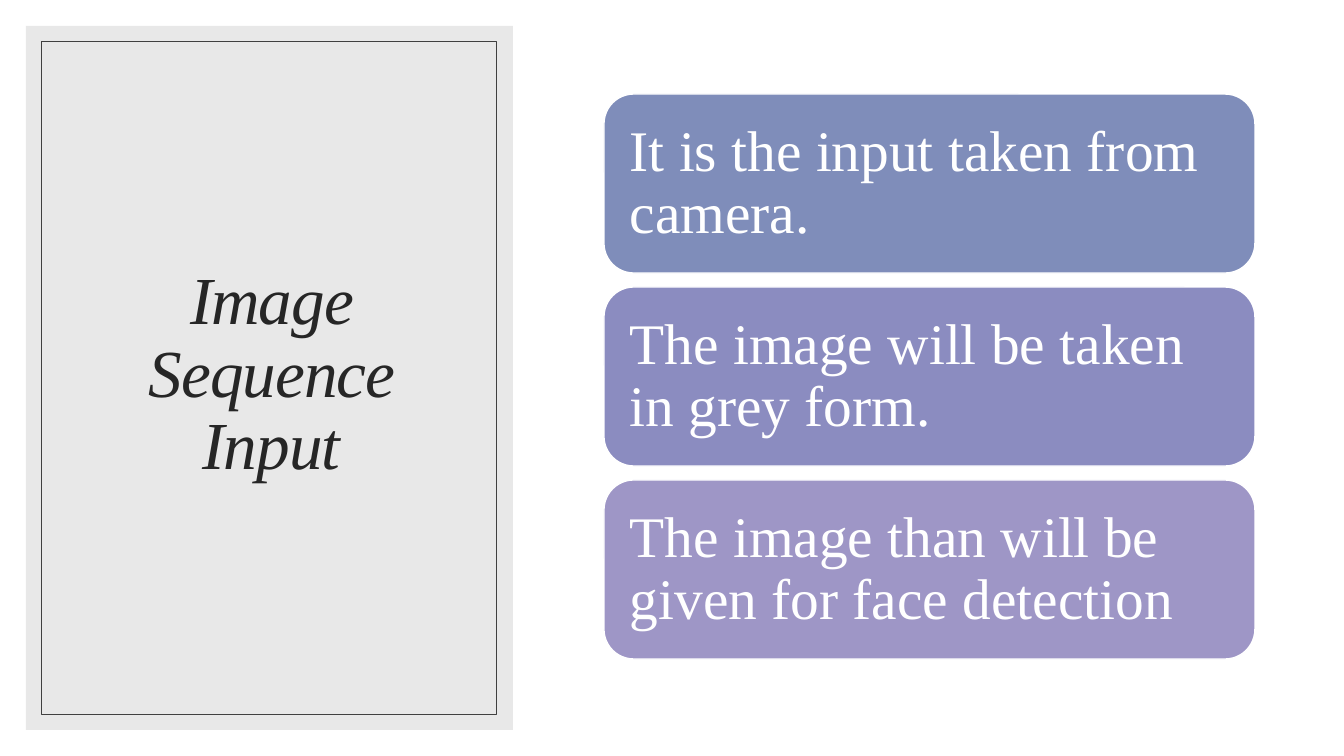
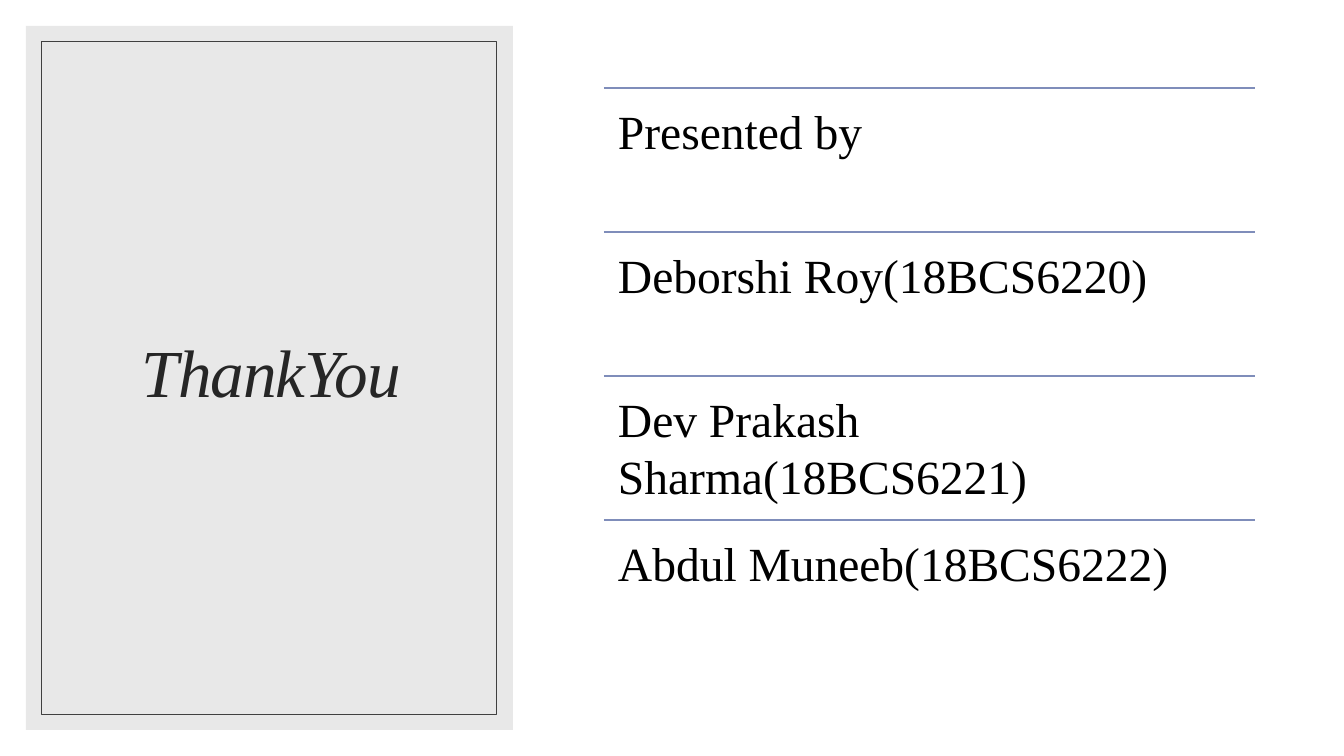
from dataclasses import dataclass
from lxml.etree import SubElement
from pptx import Presentation
from pptx.dml.color import RGBColor
from pptx.enum.shapes import MSO_CONNECTOR, MSO_SHAPE
from pptx.enum.text import MSO_ANCHOR, MSO_AUTO_SIZE, PP_ALIGN
from pptx.oxml.ns import qn
from pptx.util import Emu, Pt


@dataclass
class Theme:
    font: str = "Times New Roman"
    panel: str = "D9D9D9"
    panel_opacity: int = 60000
    frame: str = "404040"
    title: str = "262626"
    white: str = "FFFFFF"
    body: str = "000000"
    rule: str = "7F8DBA"
    cards: tuple = ("7F8DBA", "8B8CC0", "9E96C6")
    title_size: int = 48
    card_size: int = 41
    row_size: int = 34


theme = Theme()
SCALE = 12192000 / 1344


def px(*lengths):
    return [Emu(round(length * SCALE)) for length in lengths]


def write_text(shape, text, size, color, anchor=MSO_ANCHOR.MIDDLE, align=PP_ALIGN.LEFT,
               margin=10, line_spacing=0.9, italic=False, tracking=0):
    frame = shape.text_frame
    frame.word_wrap = True
    frame.auto_size = MSO_AUTO_SIZE.NONE
    frame.vertical_anchor = anchor
    (frame.margin_left, frame.margin_top,
     frame.margin_right, frame.margin_bottom) = px(*[margin] * 4)
    paragraph = frame.paragraphs[0]
    paragraph.alignment = align
    paragraph.line_spacing = line_spacing
    run = paragraph.add_run()
    run.text = text
    run.font.name = theme.font
    run.font.size = Pt(size)
    run.font.italic = italic
    run.font.color.rgb = RGBColor.from_string(color)
    if tracking:
        run.font._element.set("spc", str(tracking))


presentation = Presentation()
presentation.slide_width, presentation.slide_height = px(1344, 756)

slides = []
for title_text in ("Image Sequence Input", "ThankYou"):
    slide = presentation.slides.add_slide(presentation.slide_layouts[5])
    slides.append(slide)

    panel = slide.shapes.add_shape(MSO_SHAPE.RECTANGLE, *px(26, 26, 487, 704))
    panel.shadow.inherit = False
    panel.fill.solid()
    panel.fill.fore_color.rgb = RGBColor.from_string(theme.panel)
    panel_color = panel.element.spPr.find(qn("a:solidFill"))[0]
    SubElement(panel_color, qn("a:alpha")).set("val", str(theme.panel_opacity))
    panel.line.fill.background()

    title = slide.shapes.title
    title.left, title.top, title.width, title.height = px(64, 61, 415, 629)
    write_text(title, title_text, theme.title_size, theme.title,
               align=PP_ALIGN.CENTER, italic=True, tracking=-70)
    panel.element.addnext(title.element)

    border = slide.shapes.add_shape(MSO_SHAPE.RECTANGLE, *px(41, 41, 455, 673))
    border.shadow.inherit = False
    border.fill.background()
    border.line.color.rgb = RGBColor.from_string(theme.frame)
    border.line.width = Pt(0.5)

input_slide, closing_slide = slides
COLUMN_LEFT, COLUMN_WIDTH = 604, 651

CARD_TOP, CARD_HEIGHT, CARD_PITCH = 94, 179, 193
statements = (
    "It is the input taken from camera.",
    "The image will be taken in grey form.",
    "The image than will be given for face detection",
)
for index, (statement, color) in enumerate(zip(statements, theme.cards)):
    card = input_slide.shapes.add_shape(
        MSO_SHAPE.ROUNDED_RECTANGLE,
        *px(COLUMN_LEFT, CARD_TOP + index * CARD_PITCH, COLUMN_WIDTH, CARD_HEIGHT))
    card.shadow.inherit = False
    card.fill.solid()
    card.fill.fore_color.rgb = RGBColor.from_string(color)
    card.line.color.rgb = RGBColor.from_string(theme.white)
    card.line.width = Pt(1)
    write_text(card, statement, theme.card_size, theme.white, margin=17)

ROW_TOP, ROW_HEIGHT = 88, 144
presenters = (
    "Presented by",
    "Deborshi Roy(18BCS6220)",
    "Dev Prakash Sharma(18BCS6221)",
    "Abdul Muneeb(18BCS6222)",
)
for index, presenter in enumerate(presenters):
    top = ROW_TOP + index * ROW_HEIGHT
    rule = closing_slide.shapes.add_connector(
        MSO_CONNECTOR.STRAIGHT, *px(COLUMN_LEFT, top, COLUMN_LEFT + COLUMN_WIDTH, top))
    rule.line.color.rgb = RGBColor.from_string(theme.rule)
    rule.line.width = Pt(1)
    SubElement(rule.element.spPr, qn("a:effectLst"))
    row = closing_slide.shapes.add_textbox(*px(COLUMN_LEFT, top, COLUMN_WIDTH, ROW_HEIGHT))
    write_text(row, presenter, theme.row_size, theme.body,
               anchor=MSO_ANCHOR.TOP, margin=14, line_spacing=1.0)

presentation.save("out.pptx")
